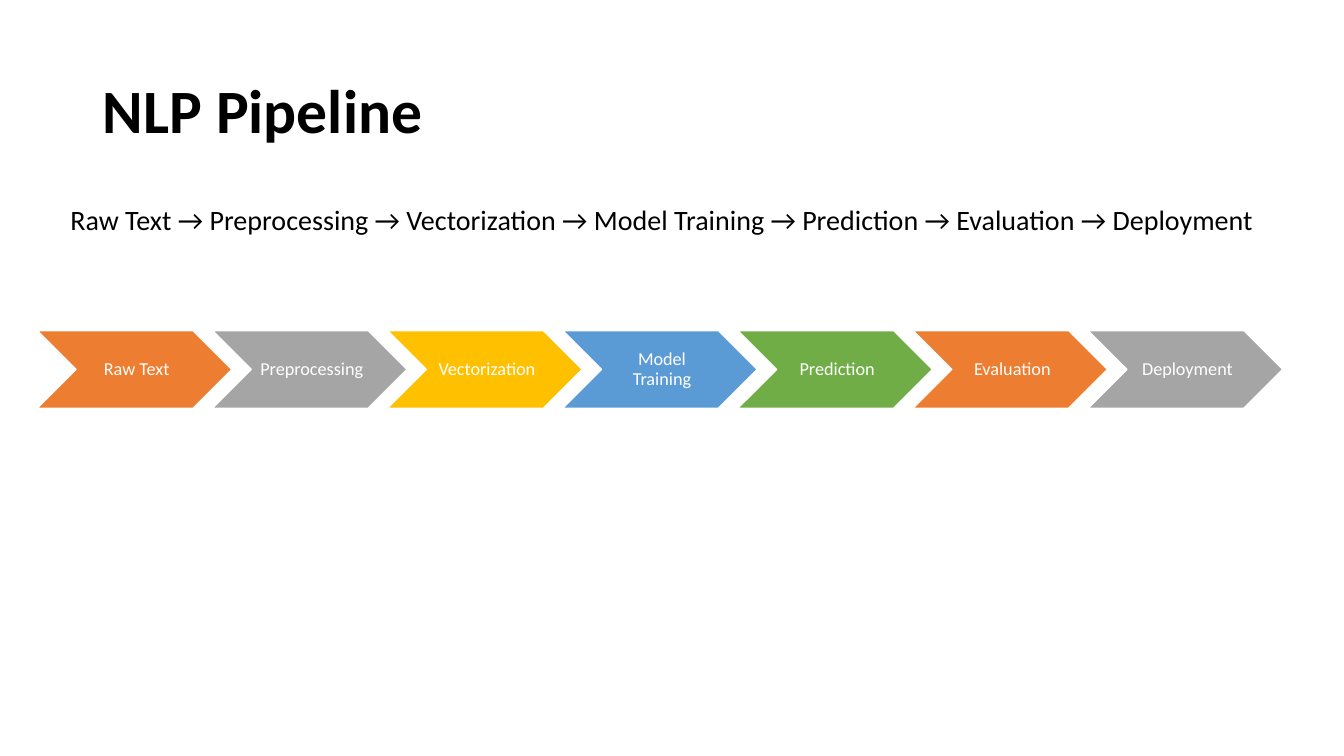
from dataclasses import dataclass
from pptx import Presentation
from pptx import util as u
from pptx.dml.color import RGBColor
from pptx.enum import shapes, text

TITLE = "NLP Pipeline"
STEPS = ["Raw Text", "Preprocessing", "Vectorization", "Model Training",
         "Prediction", "Evaluation", "Deployment"]


@dataclass(frozen=True)
class Theme:
    font: str = "Calibri"
    ink: str = "000000"
    paper: str = "FFFFFF"
    fills: tuple = ("ED7D31", "A5A5A5", "FFC000", "5B9BD5", "70AD47")
    title: int = 44
    body: int = 20
    label: int = 13


theme = Theme()
LEFT, TOP, WIDE, HIGH = 0.37, 3.28, 1.93, 0.77
STEP = WIDE * 0.9


def write(frame, words, size, color, align, anchor, bold=False):
    frame.word_wrap = True
    frame.auto_size = text.MSO_AUTO_SIZE.NONE
    frame.vertical_anchor = anchor
    para = frame.paragraphs[0]
    para.alignment = align
    para.line_spacing = 0.9
    run = para.add_run()
    run.text = words
    font = run.font
    font.name = theme.font
    font.size = u.Pt(size)
    font.bold = bold
    font.color.rgb = RGBColor.from_string(color)


def add_step(slide, index, label):
    box = map(u.Inches, (LEFT + index * STEP, TOP, WIDE, HIGH))
    arrow = slide.shapes.add_shape(shapes.MSO_SHAPE.CHEVRON, *box)
    arrow.shadow.inherit = False
    arrow.fill.solid()
    fill = theme.fills[index % len(theme.fills)]
    arrow.fill.fore_color.rgb = RGBColor.from_string(fill)
    arrow.line.color.rgb = RGBColor.from_string(theme.paper)
    arrow.line.width = u.Pt(1)
    frame = arrow.text_frame
    frame.margin_left = u.Inches(0.06)
    frame.margin_right = frame.margin_top = frame.margin_bottom = u.Inches(0.02)
    write(frame, label, theme.label, theme.paper,
          text.PP_ALIGN.CENTER, text.MSO_ANCHOR.MIDDLE)


def main():
    deck = Presentation()
    deck.slide_width, deck.slide_height = u.Inches(13.33), u.Inches(7.5)
    slide = deck.slides.add_slide(deck.slide_layouts[5])
    title = slide.shapes.title
    title.left, title.top, title.width, title.height = map(
        u.Inches, (0.92, 0.4, 11.5, 1.45))
    write(title.text_frame, TITLE, theme.title, theme.ink,
          text.PP_ALIGN.LEFT, text.MSO_ANCHOR.MIDDLE, True)
    flow = slide.shapes.add_textbox(*map(u.Inches, (0.6, 2, 12.27, 0.5)))
    write(flow.text_frame, " → ".join(STEPS), theme.body, theme.ink,
          text.PP_ALIGN.LEFT, text.MSO_ANCHOR.TOP)
    for index, label in enumerate(STEPS):
        add_step(slide, index, label)
    deck.save("out.pptx")


if __name__ == "__main__":
    main()
